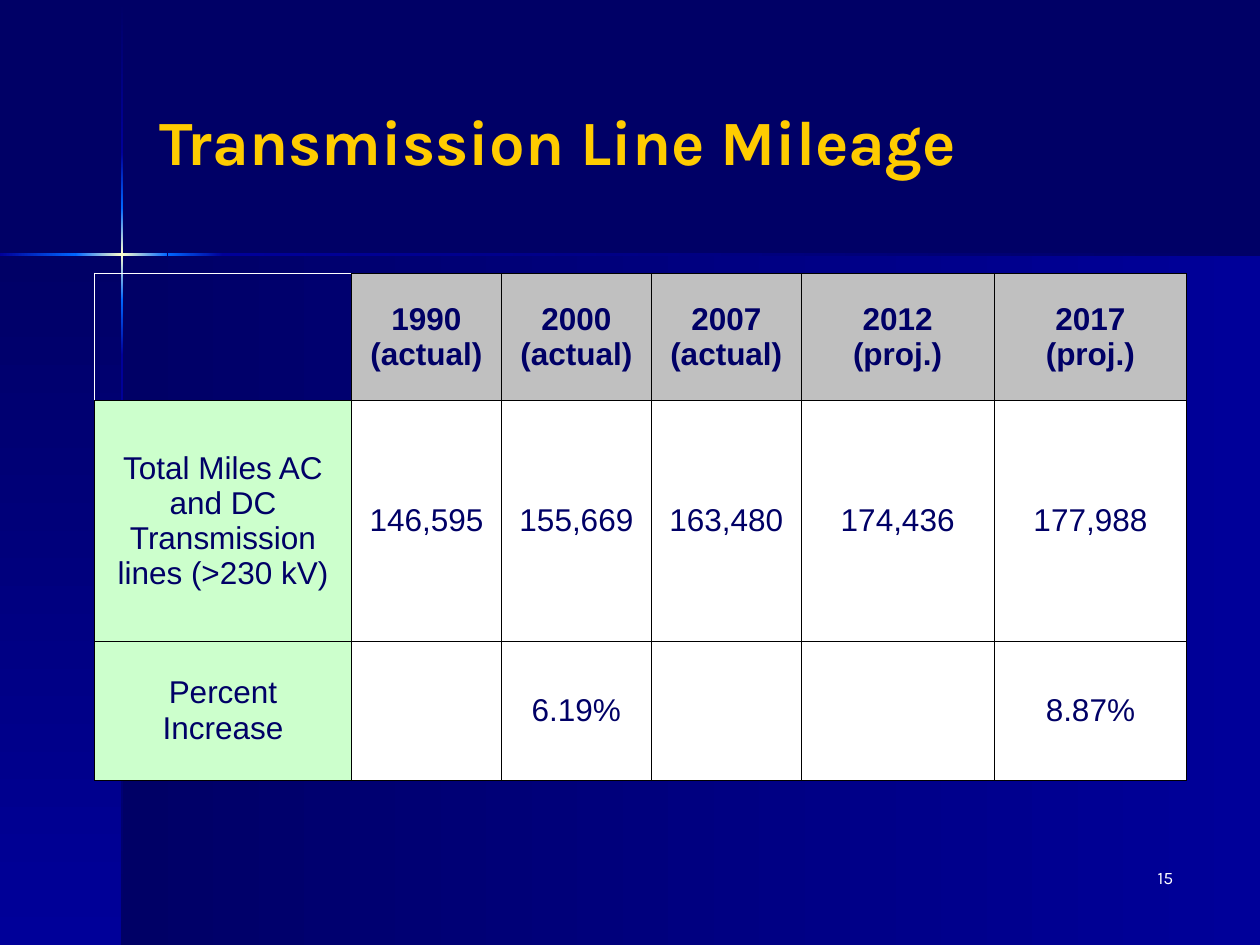
from itertools import pairwise

from lxml.etree import SubElement
from pptx import Presentation
from pptx.dml.color import RGBColor
from pptx.enum.shapes import MSO_SHAPE
from pptx.enum.text import MSO_ANCHOR as ANCHOR, PP_ALIGN as ALIGN
from pptx.oxml.ns import qn
from pptx.util import Inches, Pt

NAVY, BLUE, AZURE, CREAM = "000066", "000099", "0066FF", "FFFFCC"
GRAY, MINT, WHITE, GOLD, BLACK = "C0C0C0", "CCFFCC", "FFFFFF", "FFCC00", "000000"

TITLE = "Transmission Line Mileage"
PAGE = "15"
ROWS = [
    ["", "1990\n(actual)", "2000\n(actual)", "2007\n(actual)", "2012\n(proj.)", "2017\n(proj.)"],
    ["Total Miles AC\nand DC\nTransmission\nlines (>230 kV)",
     "146,595", "155,669", "163,480", "174,436", "177,988"],
    ["Percent\nIncrease", "", "6.19%", "", "", "8.87%"],
]
COL_WIDTHS = [2.04, 1.19, 1.19, 1.19, 1.53, 1.53]
ROW_HEIGHTS = [1.01, 1.91, 1.1]

# Panels: left, top, width, height, colours, gradient angle
PANELS = [
    (0.97, 2.02, 9.03, 5.48, [NAVY, BLUE], 0),
    (0, 2.02, 0.97, 5.48, [NAVY, BLUE], 90),
]
RAY_COLORS = [[NAVY, BLUE], [BLUE, AZURE], [AZURE, CREAM, AZURE], [AZURE, BLUE], [BLUE, NAVY]]
RAY_X, RAY_Y, RAY_WIDTH = 0.96, 2.01, 0.02
VERTICAL_STOPS = [0.01, 1.21, 1.65, 2.38, 2.82, 7.5]
HORIZONTAL_STOPS = [0, 0.6, 1.33, 1.77, 10]


def rgb(color):
    return RGBColor.from_string(color)


def add_gradient_box(slide, left, top, width, height, colors, angle):
    sp = slide.shapes.add_shape(
        MSO_SHAPE.RECTANGLE, Inches(left), Inches(top), Inches(width), Inches(height))
    sp.shadow.inherit = False
    sp.line.fill.background()
    sp.fill.gradient()
    sp.fill.gradient_angle = -angle % 360
    stops = sp._element.spPr.find(qn("a:gradFill")).find(qn("a:gsLst"))
    for stop in list(stops):
        stops.remove(stop)
    for i, color in enumerate(colors):
        stop = SubElement(stops, qn("a:gs"), pos=str(100000 * i // (len(colors) - 1)))
        SubElement(stop, qn("a:srgbClr"), val=color)


def write(tf, text, size, color, font="Karla", bold=False, align=ALIGN.LEFT):
    """Fill a text frame with one paragraph per line of text."""
    for i, line in enumerate(text.split("\n")):
        p = tf.add_paragraph() if i else tf.paragraphs[0]
        p.alignment = align
        r = p.add_run()
        r.text = line
        r.font.size, r.font.name, r.font.bold = Pt(size), font, bold
        r.font.color.rgb = rgb(color)


def add_text(slide, left, top, width, height, text, anchor=ANCHOR.TOP, **style):
    box = slide.shapes.add_textbox(Inches(left), Inches(top), Inches(width), Inches(height))
    tf = box.text_frame
    tf.word_wrap = True
    tf.vertical_anchor = anchor
    write(tf, text, **style)


def set_borders(cell, sides):
    tc_pr = cell._tc.get_or_add_tcPr()
    for i, side in enumerate(sides):
        ln = SubElement(tc_pr, qn(f"a:ln{side}"), w=str(Pt(0.45)))
        fill = SubElement(ln, qn("a:solidFill"))
        SubElement(fill, qn("a:srgbClr"), val=BLACK)
        tc_pr.insert(i, ln)


def add_mileage_table(slide):
    frame = slide.shapes.add_table(
        len(ROWS), len(COL_WIDTHS), Inches(0.75), Inches(2.17),
        Inches(sum(COL_WIDTHS)), Inches(sum(ROW_HEIGHTS)))
    table = frame.table
    table.first_row = table.horz_banding = False
    for column, width in zip(table.columns, COL_WIDTHS):
        column.width = Inches(width)
    for row, height in zip(table.rows, ROW_HEIGHTS):
        row.height = Inches(height)
    for i, texts in enumerate(ROWS):
        for j, text in enumerate(texts):
            cell = table.cell(i, j)
            cell.vertical_anchor = ANCHOR.MIDDLE
            if i == j == 0:
                cell.fill.background()
                set_borders(cell, "RB")
                continue
            cell.fill.solid()
            cell.fill.fore_color.rgb = rgb(GRAY if i == 0 else MINT if j == 0 else WHITE)
            set_borders(cell, "LRTB")
            if text:
                write(cell.text_frame, text, 18, NAVY, font="Arial", bold=i == 0,
                      align=ALIGN.CENTER)


def main():
    prs = Presentation()
    prs.slide_width, prs.slide_height = Inches(10), Inches(7.5)
    slide = prs.slides.add_slide(prs.slide_layouts[6])
    slide.background.fill.solid()
    slide.background.fill.fore_color.rgb = rgb(NAVY)

    for panel in PANELS:
        add_gradient_box(slide, *panel)
    for (start, end), colors in zip(pairwise(VERTICAL_STOPS), RAY_COLORS):
        add_gradient_box(slide, RAY_X, start, RAY_WIDTH, end - start, colors, 90)
    for (start, end), colors in zip(pairwise(HORIZONTAL_STOPS), RAY_COLORS[1:]):
        add_gradient_box(slide, start, RAY_Y, end - start, RAY_WIDTH, colors, 0)

    add_text(slide, 1.17, 0.33, 8.25, 1.57, TITLE, anchor=ANCHOR.MIDDLE,
             size=36, color=GOLD, bold=True)
    add_mileage_table(slide)
    add_text(slide, 7.33, 6.83, 2.08, 0.5, PAGE, size=10, color=WHITE, align=ALIGN.RIGHT)
    prs.save("out.pptx")


if __name__ == "__main__":
    main()
